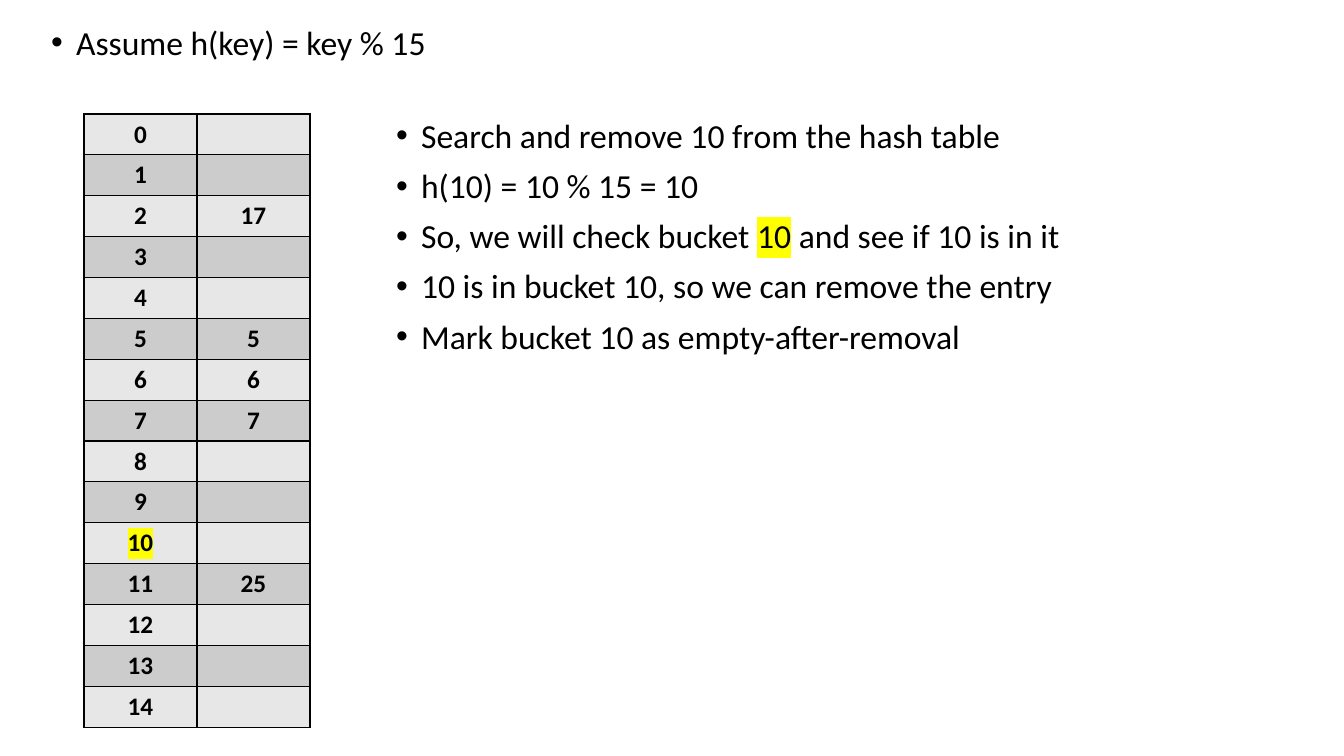
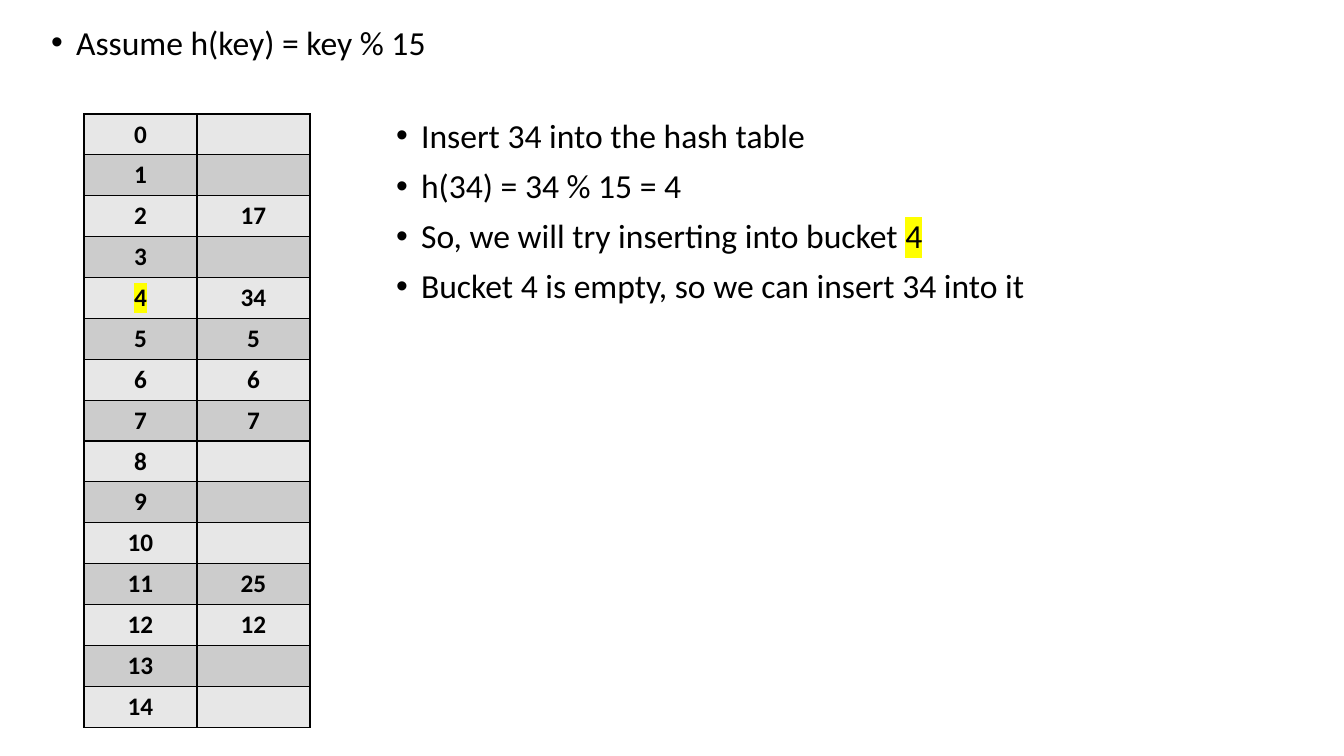
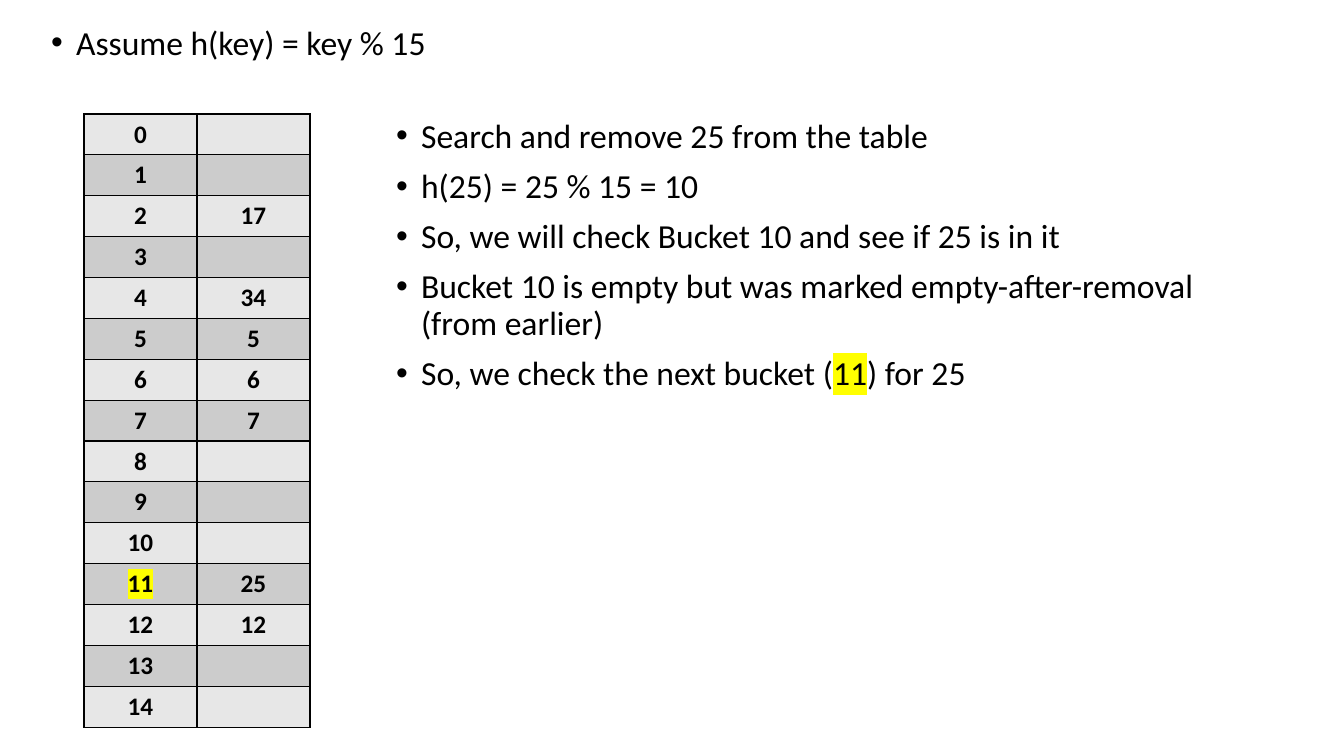
from lxml.etree import SubElement
from pptx import Presentation
from pptx.dml.color import RGBColor
from pptx.enum.text import MSO_AUTO_SIZE, PP_ALIGN
from pptx.oxml.ns import qn
from pptx.util import Emu, Pt

DPI = 100.8
FONT = "Calibri"
COLORS = {"ink": "000000", "light": "E7E7E7", "dark": "CCCCCC", "mark": "FFFF00"}

# Text between asterisks is highlighted.
RULE = ["Assume h(key) = key % 15"]
SIZE = 15
START = {2: 17, 5: 5, 6: 6, 7: 7, 11: 25}
LATER = {**START, 4: 34, 12: 12}
STEPS = [
    {"table": START, "bucket": 10, "notes": [
        "Search and remove 10 from the hash table",
        "h(10) = 10 % 15 = 10",
        "So, we will check bucket *10* and see if 10 is in it",
        "10 is in bucket 10, so we can remove the entry",
        "Mark bucket 10 as empty-after-removal"]},
    {"table": LATER, "bucket": 4, "notes": [
        "Insert 34 into the hash table",
        "h(34) = 34 % 15 = 4",
        "So, we will try inserting into bucket *4*",
        "Bucket 4 is empty, so we can insert 34 into it"]},
    {"table": LATER, "bucket": 11, "notes": [
        "Search and remove 25 from the table",
        "h(25) = 25 % 15 = 10",
        "So, we will check Bucket 10 and see if 25 is in it",
        "Bucket 10 is empty but was marked empty-after-removal (from earlier)",
        "So, we check the next bucket (*11*) for 25"]},
]

RULE_BOX = (41, 21, 1159, 77)
NOTE_BOX = (386, 114, 838, 536)
GRID_AT = (84, 114)
COL, ROW = 113, 40
INDENT = 25


def px(n):
    return Emu(round(n * 914400 / DPI))


def rgb(name):
    return RGBColor.from_string(COLORS[name])


def style(run, size, bold=False, mark=False):
    font = run.font
    font.size, font.bold, font.name = Pt(size), bold, FONT
    font.color.rgb = rgb("ink")
    if mark:
        props = run._r.get_or_add_rPr()
        light = SubElement(props, qn("a:highlight"))
        SubElement(light, qn("a:srgbClr"), val=COLORS["mark"])
        props.find(qn("a:solidFill")).addnext(light)


def fill_list(holder, box, lines):
    holder.left, holder.top, holder.width, holder.height = map(px, box)
    frame = holder.text_frame
    frame.auto_size = MSO_AUTO_SIZE.NONE
    frame.text = "\n".join(lines)
    for para, line in zip(frame.paragraphs, lines):
        para.line_spacing, para.space_before = 0.9, Pt(10)
        props = para._p.get_or_add_pPr()
        props.set("marL", str(px(INDENT)))
        props.set("indent", str(-px(INDENT)))
        para.clear()
        for i, part in enumerate(line.split("*")):
            if part:
                run = para.add_run()
                run.text = part
                style(run, 24, mark=i % 2 == 1)


def add_border(cell):
    props = cell._tc.get_or_add_tcPr()
    for side in ("lnL", "lnR", "lnT", "lnB"):
        line = SubElement(props, qn("a:" + side), w=str(Pt(1)))
        paint = SubElement(line, qn("a:solidFill"))
        SubElement(paint, qn("a:srgbClr"), val=COLORS["ink"])


def add_buckets(slide, data, bucket):
    box = (*GRID_AT, 2 * COL, SIZE * ROW)
    table = slide.shapes.add_table(SIZE, 2, *map(px, box)).table
    table.first_row = table.horz_banding = False
    for col in table.columns:
        col.width = px(COL)
    for key, row in enumerate(table.rows):
        row.height = px(ROW)
        for col, text in enumerate((key, data.get(key, ""))):
            cell = table.cell(key, col)
            add_border(cell)
            cell.fill.solid()
            cell.fill.fore_color.rgb = rgb("dark" if key % 2 else "light")
            cell.text = str(text)
            para = cell.text_frame.paragraphs[0]
            para.alignment = PP_ALIGN.CENTER
            for run in para.runs:
                style(run, 18, bold=True, mark=col == 0 and key == bucket)


def main():
    deck = Presentation()
    deck.slide_width, deck.slide_height = px(1344), px(756)
    layout = deck.slide_layouts.get_by_name("Two Content")
    for step in STEPS:
        slide = deck.slides.add_slide(layout)
        title, rule, notes = slide.placeholders
        title.element.getparent().remove(title.element)
        fill_list(rule, RULE_BOX, RULE)
        add_buckets(slide, step["table"], step["bucket"])
        fill_list(notes, NOTE_BOX, step["notes"])
    deck.save("out.pptx")


if __name__ == "__main__":
    main()
